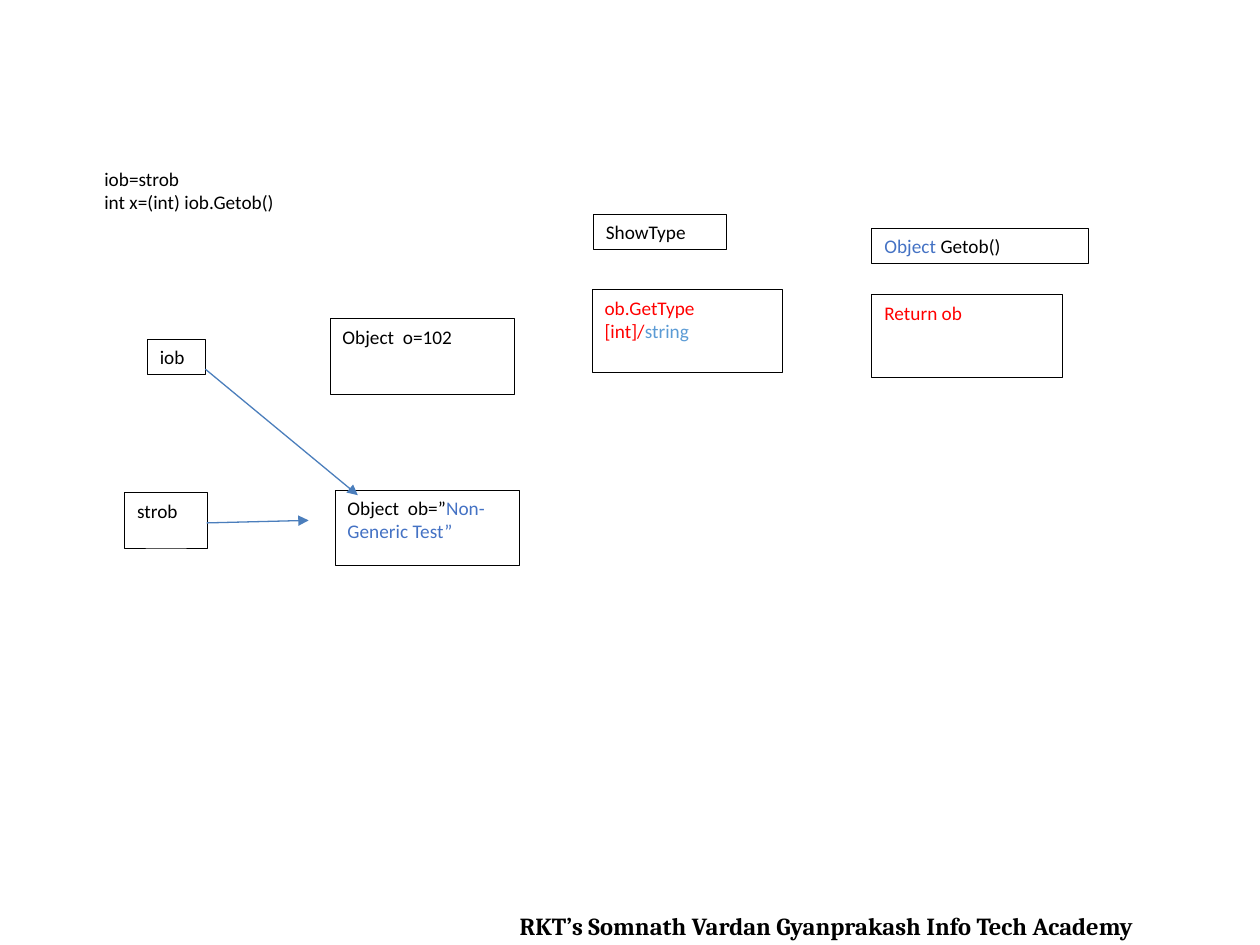
from lxml.etree import SubElement
from pptx import Presentation
from pptx.dml.color import RGBColor
from pptx.enum.shapes import MSO_CONNECTOR as Connector, MSO_SHAPE as Shape
from pptx.enum.text import MSO_ANCHOR as Anchor, PP_ALIGN as Align
from pptx.oxml.ns import qn
from pptx.util import Inches, Pt

COLUMNS, ROWS = 100, 75
CELL = Inches(0.1)
COLORS = {"ink": "000000", "paper": "FFFFFF", "red": "FF0000",
          "blue": "4472C4", "sky": "5B9BD5", "arrow": "4B7EBC"}
BODY_FONT = {"name": "Calibri", "size": Pt(11), "bold": False}
FOOTER_FONT = {"name": "Cambria", "size": Pt(14), "bold": True}

SMALL_HEIGHT = 2.8
OBJECT_SIZE = (14.6, 6)
METHOD_SIZE = (15.1, 6.6)
# (column, row), (columns, rows), paragraphs of (text, color) runs
BOXES = [
    ((11.7, 26.9), (4.6, SMALL_HEIGHT), [[("iob", "ink")]]),
    ((9.9, 39.1), (6.6, 4.4), [[("strob", "ink")]]),
    ((26.2, 25.3), OBJECT_SIZE, [[("Object  o=102", "ink")]]),
    ((26.6, 38.9), OBJECT_SIZE,
     [[("Object  ob=”", "ink"), ("Non-Generic Test”", "blue")]]),
    ((47.1, 17), (10.6, SMALL_HEIGHT), [[("ShowType", "ink")]]),
    ((47, 23), METHOD_SIZE,
     [[("ob.GetType", "red")], [("[int]/", "red"), ("string", "sky")]]),
    ((69.2, 18.1), (17.2, SMALL_HEIGHT),
     [[("Object", "blue"), (" Getob()", "ink")]]),
    ((69.2, 23.4), METHOD_SIZE, [[("Return ob", "red")]]),
]
ARROWS = [((16.3, 29.3), (28.4, 39.3)), ((16.4, 41.5), (24.5, 41.3))]
CODE = [[("iob=strob", "ink")], [("int x=(int) iob.Getob()", "ink")]]
FOOTER = [[("RKT’s Somnath Vardan Gyanprakash Info Tech Academy", "ink")]]


def rgb(name):
    return RGBColor.from_string(COLORS[name])


def cells(*counts):
    return [round(count * CELL) for count in counts]


def write_text(shape, paragraphs, font_format, align=Align.LEFT):
    frame = shape.text_frame
    frame.word_wrap = True
    frame.vertical_anchor = Anchor.TOP
    for index, runs in enumerate(paragraphs):
        paragraph = frame.add_paragraph() if index else frame.paragraphs[0]
        paragraph.alignment = align
        for text, color in runs:
            run = paragraph.add_run()
            run.text = text
            run.font.color.rgb = rgb(color)
            for attribute, value in font_format.items():
                setattr(run.font, attribute, value)


def add_box(slide, position, size, paragraphs):
    box = slide.shapes.add_shape(Shape.RECTANGLE, *cells(*position, *size))
    box.shadow.inherit = False
    box.fill.solid()
    box.fill.fore_color.rgb = rgb("paper")
    box.line.color.rgb = rgb("ink")
    box.line.width = Pt(0.5)
    write_text(box, paragraphs, BODY_FONT)


def add_arrow(slide, start, end):
    arrow = slide.shapes.add_connector(Connector.STRAIGHT, *cells(*start, *end))
    arrow.line.color.rgb = rgb("arrow")
    arrow.line.width = Pt(0.75)
    properties = arrow.element.spPr
    SubElement(properties.find(qn("a:ln")), qn("a:tailEnd"), type="triangle")
    SubElement(properties, qn("a:effectLst"))


def add_text(slide, position, size, paragraphs, font_format, align=Align.LEFT):
    box = slide.shapes.add_textbox(*cells(*position, *size))
    write_text(box, paragraphs, font_format, align)


def main():
    presentation = Presentation()
    presentation.slide_width, presentation.slide_height = cells(COLUMNS, ROWS)
    slide = presentation.slides.add_slide(presentation.slide_layouts[6])
    add_text(slide, (32.5, 71.8), (66.2, 3.2), FOOTER, FOOTER_FONT, Align.CENTER)
    for box in BOXES:
        add_box(slide, *box)
    for arrow in ARROWS:
        add_arrow(slide, *arrow)
    add_text(slide, (7.3, 12.8), (30, 4.8), CODE, BODY_FONT)
    presentation.save("out.pptx")


if __name__ == "__main__":
    main()
